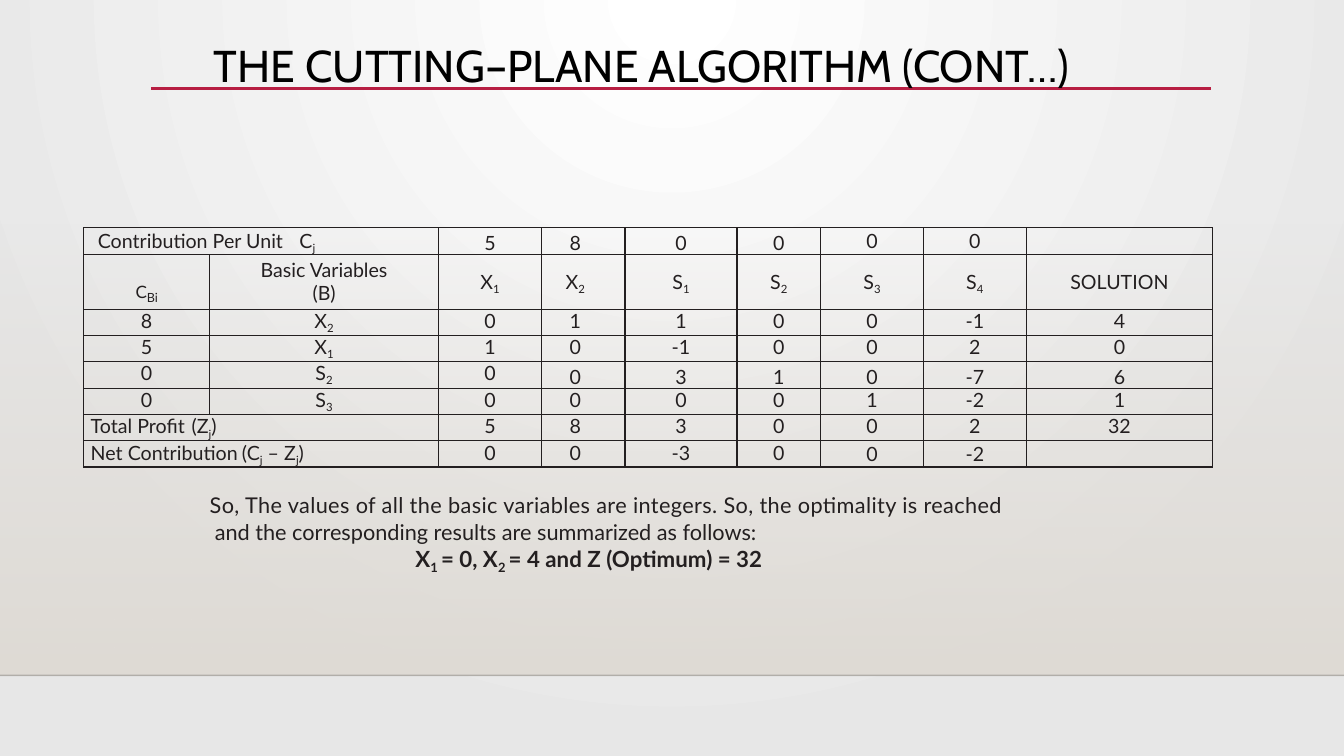
from lxml import etree
from pptx import Presentation, util as u
from pptx.dml import color
from pptx.enum import shapes, text
from pptx.oxml import ns, parse_xml

INK = "231F20"
CENTER = text.PP_ALIGN.CENTER
COLUMNS = [1.25, 2.27, 1.02, 0.83, 1.11, 0.83, 1.02, 1.02, 1.85]
ROW = 0.26
HEADER_ROW = 0.53
ROWS = [
    ["Contribution Per Unit\tC~j~", "", "5", "8", "0", "0", "0", "0", ""],
    ["", "Basic Variables\n(B)", "X~1~", "X~2~", "S~1~", "S~2~", "S~3~", "S~4~", "SOLUTION"],
    ["8", "X~2~", "0", "1", "1", "0", "0", "-1", "4"],
    ["5", "X~1~", "1", "0", "-1", "0", "0", "2", "0"],
    ["0", "S~2~", "0", "0", "3", "1", "0", "-7", "6"],
    ["0", "S~3~", "0", "0", "0", "0", "1", "-2", "1"],
    ["Total Profit\t(Z~j~)", "", "5", "8", "3", "0", "0", "2", "32"],
    ["Net Contribution\t(C~j~ – Z~j~)", "", "0", "0", "-3", "0", "0", "-2", ""],
]
LABELS = {0: (0.14, 2.54), 6: (0.07, 1.27), 7: (0.07, 1.82)}


def rgb(value):
    return color.RGBColor.from_string(value)


def gradient(stops, direction):
    marks = "".join(
        f'<a:gs pos="{place * 1000}"><a:srgbClr val="{value}">'
        f'<a:alpha val="{alpha * 1000}"/></a:srgbClr></a:gs>'
        for place, value, alpha in stops)
    return parse_xml(f'<a:gradFill {ns.nsdecls("a")} rotWithShape="1">'
                     f'<a:gsLst>{marks}</a:gsLst>{direction}</a:gradFill>')


def add_span(para, words, size=14, font="Lato", ink=INK, bold=False, baseline=0, spacing=0):
    span = para.add_run()
    span.text = words
    span.font.size = u.Pt(size)
    span.font.name = font
    span.font.bold = bold
    span.font.color.rgb = rgb(ink)
    props = span.font._element
    if baseline:
        props.set("baseline", str(baseline * 1000))
    if spacing:
        props.set("spc", str(round(spacing * 100)))


def write(para, words, align=None, indent=0, tab=None, exact=None, before=0, **style):
    props = para._p.get_or_add_pPr()
    props.set("marL", str(u.Inches(indent)))
    props.set("indent", "0")
    if tab:
        tabs = etree.SubElement(props, ns.qn("a:tabLst"))
        etree.SubElement(tabs, ns.qn("a:tab"), pos=str(u.Inches(tab)), algn="l")
    para.alignment = align
    if exact:
        para.line_spacing = u.Pt(exact)
    if before:
        para.space_before = u.Pt(before)
    for order, part in enumerate(words.split("~")):
        if part:
            add_span(para, part, baseline=-21 if order % 2 else 0, **style)


def set_margins(holder, top=0):
    holder.margin_left = holder.margin_right = holder.margin_bottom = 0
    holder.margin_top = u.Inches(top)


def add_box(page, left, top, width, height):
    box = page.shapes.add_textbox(*map(u.Inches, (left, top, width, height)))
    box.text_frame.word_wrap = True
    set_margins(box.text_frame, 0.01)
    return box.text_frame


def add_rule(page, left, top, width, ink, weight):
    rule = page.shapes.add_connector(
        shapes.MSO_CONNECTOR.STRAIGHT,
        *map(u.Inches, (left, top, left + width, top)))
    rule.line.color.rgb = rgb(ink)
    rule.line.width = u.Pt(weight)
    etree.SubElement(rule._element.spPr, ns.qn("a:effectLst"))
    return rule


def add_backdrop(page, left, top, width, height):
    page.background.fill.solid()
    props = page.background._cSld.bg.bgPr
    props.replace(props[0], gradient(
        [(0, "FFFFFF", 100), (100, "E7E7E7", 100)],
        '<a:path path="circle"><a:fillToRect l="43000" t="0" r="43000" b="100000"/></a:path>'))
    band = page.shapes.add_shape(
        shapes.MSO_SHAPE.RECTANGLE, *map(u.Inches, (left, top, width, height)))
    band.shadow.inherit = False
    band.line.fill.background()
    band.fill.solid()
    props = band._element.spPr
    props.replace(props.find(ns.qn("a:solidFill")), gradient(
        [(0, "DFDBD5", 0), (100, "DFDBD5", 100)], '<a:lin ang="5400000" scaled="0"/>'))
    edge = add_rule(page, left, top + height, width, "000001", 1)
    ink = edge.line._ln.find(".//" + ns.qn("a:srgbClr"))
    etree.SubElement(ink, ns.qn("a:alpha"), val="20000")


def add_title(page, left, top, width, height):
    add_rule(page, left - 0.61, top + 0.51, 10.51, "B71E42", 2.5)
    frame = add_box(page, left, top, width, height)
    write(frame.paragraphs[0], "THE CUTTING–PLANE ALGORITHM (CONT…)",
          indent=0.01, size=31.8, font="Cabin", ink="000000")


def set_borders(cell):
    props = cell._tc.get_or_add_tcPr()
    for side in "LRTB":
        props.append(parse_xml(
            f'<a:ln{side} {ns.nsdecls("a")} w="12700"><a:solidFill>'
            f'<a:srgbClr val="{INK}"/></a:solidFill></a:ln{side}>'))
    cell.fill.background()


def cell_layout(row, column):
    if row in LABELS and column == 0:
        indent, tab = LABELS[row]
        layout = {"indent": indent, "tab": tab}
    elif column == 3:
        layout = {"indent": 0.24 if row == 1 else 0.28}
    else:
        layout = {"align": CENTER}
    if (row == 0 and column < 6) or (row == 4 and column > 2):
        layout["exact"] = 19.2
    return layout


def cell_top(row, column):
    if row == 1:
        return {0: 0.19, 1: 0.03}.get(column, 0.15)
    return 0.01 if row in (0, 7) and column in (6, 7) else 0


def add_tableau(page, left, top):
    heights = [HEADER_ROW if row == 1 else ROW for row in range(len(ROWS))]
    frame = page.shapes.add_table(
        len(ROWS), len(COLUMNS),
        *map(u.Inches, (left, top, sum(COLUMNS), sum(heights))))
    table = frame.table
    table.first_row = table.horz_banding = False
    for column, width in enumerate(COLUMNS):
        table.columns[column].width = u.Inches(width)
    for row, height in enumerate(heights):
        table.rows[row].height = u.Inches(height)
        for column, words in enumerate(ROWS[row]):
            cell = table.cell(row, column)
            set_margins(cell, cell_top(row, column))
            set_borders(cell)
            for order, line in enumerate(words.split("\n")):
                para = cell.text_frame.add_paragraph() if order else cell.text_frame.paragraphs[0]
                write(para, line, **cell_layout(row, column))
                if (row, column) == (1, 0):
                    add_span(para, "C", size=21, baseline=14)
                    add_span(para, "Bi", size=9)
                elif not line:
                    etree.SubElement(para._p, ns.qn("a:endParaRPr"), sz="1400")
    for row in LABELS:
        table.cell(row, 0).merge(table.cell(row, 1))


def add_conclusion(page, left, top, width, height):
    frame = add_box(page, left, top, width, height)
    write(frame.paragraphs[0],
          "So, The values of all the basic variables are integers. So, the optimality is reached",
          indent=0.04, size=15.5, spacing=0.28)
    write(frame.add_paragraph(),
          "and the corresponding results are summarized as follows:",
          indent=0.09, before=0.9, size=15.5)
    write(frame.add_paragraph(), "X~1 ~= 0, X~2 ~= 4 and Z (Optimum) = 32",
          indent=2.08, size=15.9, bold=True)


def main():
    deck = Presentation()
    deck.slide_width, deck.slide_height = u.Inches(13.33), u.Inches(7.5)
    page = deck.slides.add_slide(deck.slide_layouts[6])
    add_backdrop(page, 0, 2.21, 13.33, 4.49)
    add_title(page, 2.11, 0.37, 9.58, 0.55)
    add_tableau(page, 0.83, 2.26)
    add_conclusion(page, 2.04, 4.87, 8.21, 0.81)
    deck.save("out.pptx")


if __name__ == "__main__":
    main()
